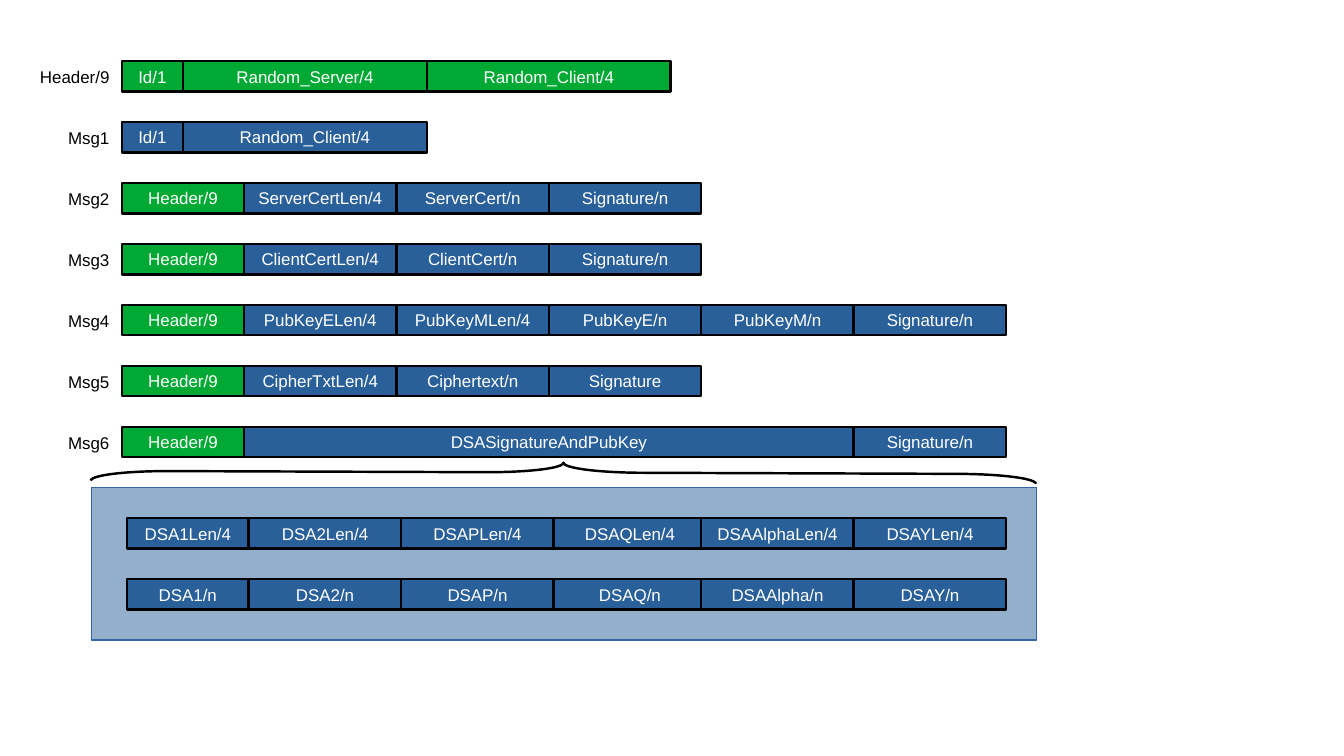
from lxml import etree
from pptx import Presentation
from pptx import util as u
from pptx.dml.color import RGBColor
from pptx.enum import shapes, text
from pptx.oxml.ns import qn

GREEN = RGBColor(0x00, 0xA9, 0x33)
BLUE = RGBColor(0x2A, 0x60, 0x99)
EDGE = RGBColor(0x34, 0x65, 0xA4)
BLACK = RGBColor(0, 0, 0)
WHITE = RGBColor(255, 255, 255)

SCALE = 9144  # EMU per px, 100 px to the inch
LEFT, TOP, PITCH, HEIGHT = 100, 50, 50, 25
ID, HEAD, FIELD, WIDE = 50, 100, 125, 200


def px(*lengths):
    return [u.Emu(length * SCALE) for length in lengths]


class Diagram:
    font = {"name": "Arial", "size": u.Pt(10)}
    stroke = u.Pt(1.45)

    def __init__(self, page):
        self.page = page

    def caption(self, box, words, color, align, anchor, insets):
        frame = box.text_frame
        side, edge = px(*insets)
        frame_format = {"vertical_anchor": anchor, "margin_left": side, "margin_right": side,
                        "margin_top": edge, "margin_bottom": edge}
        for name, value in frame_format.items():
            setattr(frame, name, value)
        para = frame.paragraphs[0]
        para.alignment = align
        span = para.add_run()
        span.text = words
        for name, value in self.font.items():
            setattr(span.font, name, value)
        span.font.color.rgb = color

    def shape(self, parent, kind, place, fill, line, weight):
        box = parent.shapes.add_shape(kind, *px(*place))
        box.shadow.inherit = False
        if fill is None:
            box.fill.background()
        else:
            box.fill.solid()
            box.fill.fore_color.rgb = fill
        box.line.color.rgb = line
        box.line.width = weight
        return box

    def label(self, parent, words, width, top):
        box = parent.shapes.add_textbox(*px(LEFT - width, top, width, HEIGHT))
        self.caption(box, words, BLACK, text.PP_ALIGN.LEFT, text.MSO_ANCHOR.TOP, (10, 5))
        box.text_frame.word_wrap = False
        box.text_frame.auto_size = text.MSO_AUTO_SIZE.SHAPE_TO_FIT_TEXT

    def cells(self, parent, left, top, fields):
        for words, width, fill in fields:
            box = self.shape(parent, shapes.MSO_SHAPE.RECTANGLE, (left, top, width, HEIGHT),
                             fill, BLACK, self.stroke)
            self.caption(box, words, WHITE, text.PP_ALIGN.CENTER, text.MSO_ANCHOR.MIDDLE, (11, 6))
            left += width

    def row(self, label, width, top, fields):
        group = self.page.shapes.add_group_shape()
        self.label(group, label, width, top)
        self.cells(group, LEFT, top, fields)

    def panel(self, place, opacity):
        box = self.shape(self.page, shapes.MSO_SHAPE.RECTANGLE, place, BLUE, EDGE, 0)
        color = box.element.spPr.find(qn("a:solidFill"))[0]
        etree.SubElement(color, qn("a:alpha"), val=str(opacity * 1000))

    def brace(self, place, turn):
        box = self.shape(self.page, shapes.MSO_SHAPE.LEFT_BRACE, place, None, BLACK, self.stroke)
        box.rotation = turn
        box.adjustments[0] = 4


def blue(*names, width=FIELD):
    return [(name, width, BLUE) for name in names]


def message(*names):
    return [("Header/9", HEAD, GREEN)] + blue(*names)


def main():
    deck = Presentation()
    deck.slide_width, deck.slide_height = px(1102, 620)
    diagram = Diagram(deck.slides.add_slide(deck.slide_layouts[6]))

    # Header and the six messages
    rows = [
        ("Header/9", 77, [("Id/1", ID, GREEN), ("Random_Server/4", WIDE, GREEN),
                          ("Random_Client/4", WIDE, GREEN)]),
        ("Msg1", 54, blue("Id/1", width=ID) + blue("Random_Client/4", width=WIDE)),
        ("Msg2", 54, message("ServerCertLen/4", "ServerCert/n", "Signature/n")),
        ("Msg3", 54, message("ClientCertLen/4", "ClientCert/n", "Signature/n")),
        ("Msg4", 54, message("PubKeyELen/4", "PubKeyMLen/4", "PubKeyE/n", "PubKeyM/n",
                             "Signature/n")),
        ("Msg5", 54, message("CipherTxtLen/4", "Ciphertext/n", "Signature")),
        ("Msg6", 54, message() + blue("DSASignatureAndPubKey", width=4 * FIELD)
         + blue("Signature/n")),
    ]
    for index, (label, width, fields) in enumerate(rows):
        diagram.row(label, width, TOP + index * PITCH, fields)

    # Detail of the DSA field
    diagram.panel((75, 400, 775, 125), 50)
    for top, ending in ((425, "Len/4"), (475, "/n")):
        first, *middle = [f"DSA{part}{ending}" for part in ("1", "2", "P", "Q")]
        last = [f"DSA{part}{ending}" for part in ("Alpha", "Y")]
        group = diagram.page.shapes.add_group_shape()
        diagram.cells(group, 104, top, blue(first, width=HEAD) + blue(*middle))
        diagram.cells(group, 575, top, blue(*last))
    diagram.brace((454, 0, 16, 775), 90.2)

    deck.save("out.pptx")


if __name__ == "__main__":
    main()
